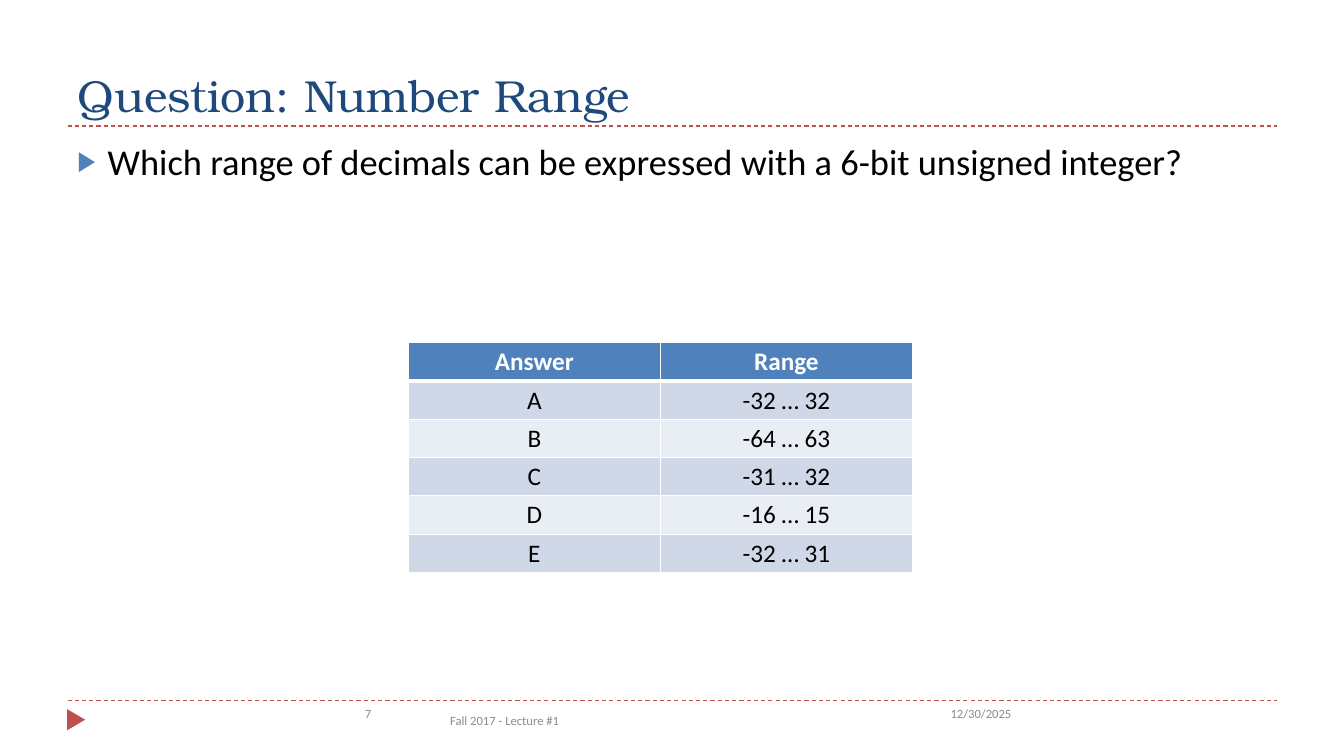
from pptx import Presentation
from pptx.dml.color import RGBColor
from pptx.enum.dml import MSO_LINE
from pptx.enum.shapes import MSO_CONNECTOR, MSO_SHAPE
from pptx.enum.text import MSO_ANCHOR, PP_ALIGN
from pptx.oxml.ns import qn
from pptx.util import Inches, Pt
from lxml import etree

LEFT, CENTER, RIGHT = PP_ALIGN.LEFT, PP_ALIGN.CENTER, PP_ALIGN.RIGHT
TOP, MIDDLE, BOTTOM = MSO_ANCHOR.TOP, MSO_ANCHOR.MIDDLE, MSO_ANCHOR.BOTTOM
STRAIGHT, TRIANGLE = MSO_CONNECTOR.STRAIGHT, MSO_SHAPE.ISOSCELES_TRIANGLE
DASH = MSO_LINE.DASH


def color(hex_string):
    return RGBColor.from_string(hex_string)


class SlideBuilder:
    body_font, title_font = "Calibri", "TeX Gyre Bonum"
    red, blue, navy, gray = "C0504D", "4F81BD", "1F497D", "8C8C8C"
    black, white = "000000", "FFFFFF"
    bands = ("D0D8E8", "E9EDF4")

    def __init__(self, slide):
        self.slide = slide

    def add_run(self, paragraph, text, size, hex_string, font=body_font, bold=False):
        run = paragraph.add_run()
        run.text = text
        run.font.name = font
        run.font.size = Pt(size)
        run.font.bold = bold
        run.font.color.rgb = color(hex_string)

    def text(self, box, text, size, hex_string, font=body_font, align=LEFT, anchor=TOP):
        shape = self.slide.shapes.add_textbox(*map(Inches, box))
        frame = shape.text_frame
        frame.word_wrap = True
        frame.vertical_anchor = anchor
        paragraph = frame.paragraphs[0]
        paragraph.alignment = align
        self.add_run(paragraph, text, size, hex_string, font)
        return paragraph

    def bullet(self, paragraph, character, hex_string, percent, indent):
        paragraph.space_before = Pt(6)
        properties = paragraph._p.get_or_add_pPr()
        properties.set("marL", str(Inches(indent)))
        properties.set("indent", str(-Inches(indent)))
        bullet_color = etree.SubElement(properties, qn("a:buClr"))
        etree.SubElement(bullet_color, qn("a:srgbClr"), val=hex_string)
        etree.SubElement(properties, qn("a:buSzPct"), val=str(percent * 1000))
        etree.SubElement(properties, qn("a:buFont"), typeface="Arial")
        etree.SubElement(properties, qn("a:buChar"), char=character)

    def dashed_rule(self, left, right, y):
        connector = self.slide.shapes.add_connector(
            STRAIGHT, Inches(left), Inches(y), Inches(right), Inches(y))
        connector.line.color.rgb = color(self.red)
        connector.line.width = Pt(0.75)
        connector.line.dash_style = DASH
        etree.SubElement(connector._element.spPr, qn("a:effectLst"))

    def marker(self, box):
        shape = self.slide.shapes.add_shape(TRIANGLE, *map(Inches, box))
        shape.rotation = 90
        shape.shadow.inherit = False
        shape.fill.solid()
        shape.fill.fore_color.rgb = color(self.red)
        shape.line.fill.background()

    def border(self, cell, side, width):
        line = etree.SubElement(cell._tc.get_or_add_tcPr(), qn(f"a:ln{side}"), w=str(Pt(width)))
        fill = etree.SubElement(line, qn("a:solidFill"))
        etree.SubElement(fill, qn("a:srgbClr"), val=self.white)

    def table(self, left, top, column_width, row_height, rows):
        columns = len(rows[0])
        table = self.slide.shapes.add_table(
            len(rows), columns, Inches(left), Inches(top),
            Inches(column_width * columns), Inches(row_height * len(rows))).table
        for column in table.columns:
            column.width = Inches(column_width)
        for row_index, row in enumerate(rows):
            table.rows[row_index].height = Inches(row_height)
            header = row_index == 0
            for column_index, text in enumerate(row):
                cell = table.cell(row_index, column_index)
                cell.margin_left = cell.margin_right = Inches(0.07)
                cell.margin_top = cell.margin_bottom = Inches(0.04)
                # The line under the header is heavier
                top_width, bottom_width = 3 if row_index == 1 else 1, 3 if header else 1
                for side, width in zip("LRTB", (1, 1, top_width, bottom_width)):
                    self.border(cell, side, width)
                cell.fill.solid()
                cell.fill.fore_color.rgb = color(
                    self.blue if header else self.bands[(row_index - 1) % 2])
                paragraph = cell.text_frame.paragraphs[0]
                paragraph.alignment = CENTER
                self.add_run(paragraph, text, 18, self.white if header else self.black, bold=header)


def main():
    presentation = Presentation()
    presentation.slide_width, presentation.slide_height = Inches(13.33), Inches(7.5)
    builder = SlideBuilder(presentation.slides.add_slide(presentation.slide_layouts[6]))

    # Rules and corner marker
    for y in (6.95, 1.25):
        builder.dashed_rule(0.67, 12.67, y)
    builder.marker((0.65, 7.05, 0.21, 0.18))

    # Title and question
    builder.text((0.67, 0.17, 12, 1.08), "Question: Number Range", 32, builder.navy,
                 font=builder.title_font, anchor=BOTTOM)
    question = builder.text(
        (0.67, 1.33, 12, 5.4),
        "Which range of decimals can be expressed with a 6-bit unsigned integer?",
        26, builder.black)
    builder.bullet(question, "▶", builder.blue, 76, 0.3)

    # Footer
    for box, text, align, anchor in (
        ((9.33, 6.95, 3.34, 0.4), "12/30/2025", LEFT, TOP),
        ((0.89, 6.95, 2.89, 0.4), "7", RIGHT, TOP),
        ((3.42, 6.95, 3.17, 0.4), "Fall 2017 - Lecture #1", CENTER, MIDDLE),
    ):
        builder.text(box, text, 9, builder.gray, align=align, anchor=anchor)

    # Answer choices
    builder.table(4.05, 3.4, 2.5, 0.38, [
        ("Answer", "Range"),
        ("A", "-32 … 32"),
        ("B", "-64 … 63"),
        ("C", "-31 … 32"),
        ("D", "-16 … 15"),
        ("E", "-32 … 31"),
    ])

    presentation.save("out.pptx")


if __name__ == "__main__":
    main()
